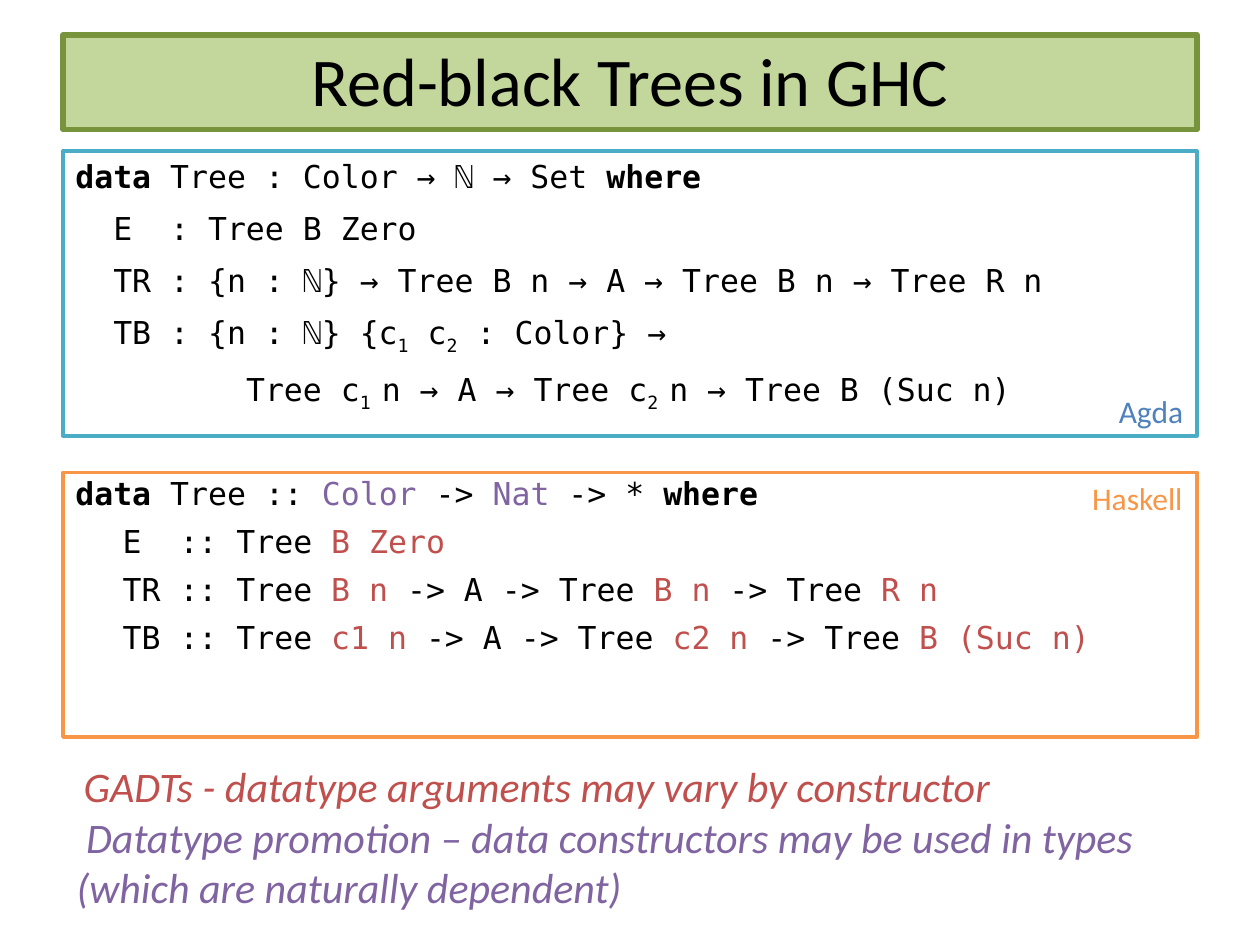
"""Build the slide on red-black trees in Agda and Haskell."""
from pptx import Presentation
from pptx.dml.color import RGBColor
from pptx.enum import shapes, text
from pptx.util import Pt

theme = {
    "ink": "000000", "white": "FFFFFF", "green": "C3D69B", "moss": "77933C",
    "teal": "4BACC6", "orange": "F79646", "red": "C0504D", "violet": "8064A2",
    "blue": "4F81BD", "sans": "Calibri", "mono": "DejaVu Sans Mono",
    "title": 39, "code": 18, "note": 24,
}


def add_box(area, fill=None, edge=None, weight=2, wrap=True):
    area = [Pt(n) for n in area]
    if fill:
        box = slide.shapes.add_shape(shapes.MSO_SHAPE.RECTANGLE, *area)
        box.shadow.inherit = False
        box.fill.solid()
        box.fill.fore_color.rgb = RGBColor.from_string(theme[fill])
        box.line.color.rgb = RGBColor.from_string(theme[edge])
        box.line.width = Pt(weight)
    else:
        box = slide.shapes.add_textbox(*area)
    frame = box.text_frame
    frame.word_wrap = wrap
    frame.vertical_anchor = text.MSO_ANCHOR.TOP
    return frame


def add_line(frame, parts, size, face="sans", left=0, first=0, gap=0, lead=1.0):
    line = frame.paragraphs[0]
    if line.runs:
        line = frame.add_paragraph()
    line.alignment = text.PP_ALIGN.LEFT
    line.space_before = Pt(gap)
    line.line_spacing = lead
    props = line._p.get_or_add_pPr()
    props.set("marL", str(Pt(left)))
    props.set("indent", str(Pt(first)))
    for words, style in parts:
        run = line.add_run()
        run.text = words
        font = run.font
        font.name = theme[face]
        font.size = Pt(theme[size])
        font.bold = style == "bold"
        font.color.rgb = RGBColor.from_string(theme.get(style, theme["ink"]))
        if style == "sub":
            run._r.get_or_add_rPr().set("baseline", "-25000")
    return line


deck = Presentation()
deck.slide_width, deck.slide_height = Pt(720), Pt(540)
slide = deck.slides.add_slide(deck.slide_layouts[6])

head = add_box((36, 20, 648, 54), "green", "moss", 3)
head.vertical_anchor = text.MSO_ANCHOR.MIDDLE
head.margin_bottom = Pt(7.2)
title = add_line(head, [("Red-black Trees in GHC", "ink")], "title")
title.alignment = text.PP_ALIGN.CENTER

agda = [
    (0, [("data ", "bold"), ("Tree : Color → ℕ → Set ", "ink"), ("where", "bold")]),
    (21.67, [("E  : Tree B Zero", "ink")]),
    (21.67, [("TR : {n : ℕ} → Tree B n → A → Tree B n → Tree R n", "ink")]),
    (21.67, [("TB : {n : ℕ} {c", "ink"), ("1", "sub"), (" c", "ink"),
             ("2", "sub"), (" : Color} →", "ink")]),
    (97.53, [("Tree c", "ink"), ("1 ", "sub"), ("n → A → Tree c", "ink"),
             ("2 ", "sub"), ("n → Tree B (Suc n)", "ink")]),
]
haskell = [
    (0, [("data ", "bold"), ("Tree :: ", "ink"), ("Color ", "violet"), ("-> ", "ink"),
         ("Nat ", "violet"), ("-> * ", "ink"), ("where", "bold")]),
    (27, [("E  :: Tree ", "ink"), ("B Zero", "red")]),
    (27, [("TR :: Tree ", "ink"), ("B n", "red"), (" -> A -> Tree ", "ink"),
          ("B n ", "red"), ("-> Tree ", "ink"), ("R n", "red")]),
    (27, [("TB :: Tree ", "ink"), ("c1 n", "red"), (" -> A -> Tree ", "ink"),
          ("c2 n ", "red"), ("-> Tree ", "ink"), ("B (Suc n)", "red")]),
]
panels = [
    ((36, 86.4, 648, 162.7), "teal", agda, 1.0),
    ((36, 270, 648, 151.2), "orange", haskell, 0.9),
]
for area, edge, code, lead in panels:
    panel = add_box(area, "white", edge)
    for left, parts in code:
        add_line(panel, parts, "code", "mono", left, gap=8, lead=lead)

tags = [
    ("Agda", "blue", (632.2, 220.3, 51.8, 29)),
    ("Haskell", "orange", (617, 270, 67, 29)),
]
for name, hue, area in tags:
    add_line(add_box(area, wrap=False), [(name, hue)], "code")

notes = [
    (4, "GADTs - datatype arguments may vary by constructor", "red"),
    (5.4, "Datatype promotion – data constructors may be used in types "
          "(which are naturally dependent)", "violet"),
]
foot = add_box((36.7, 431.3, 625.7, 94.3))
for first, words, hue in notes:
    line = add_line(foot, [(words, hue)], "note", first=first)
    line.runs[0].font.italic = True

deck.save("out.pptx")
